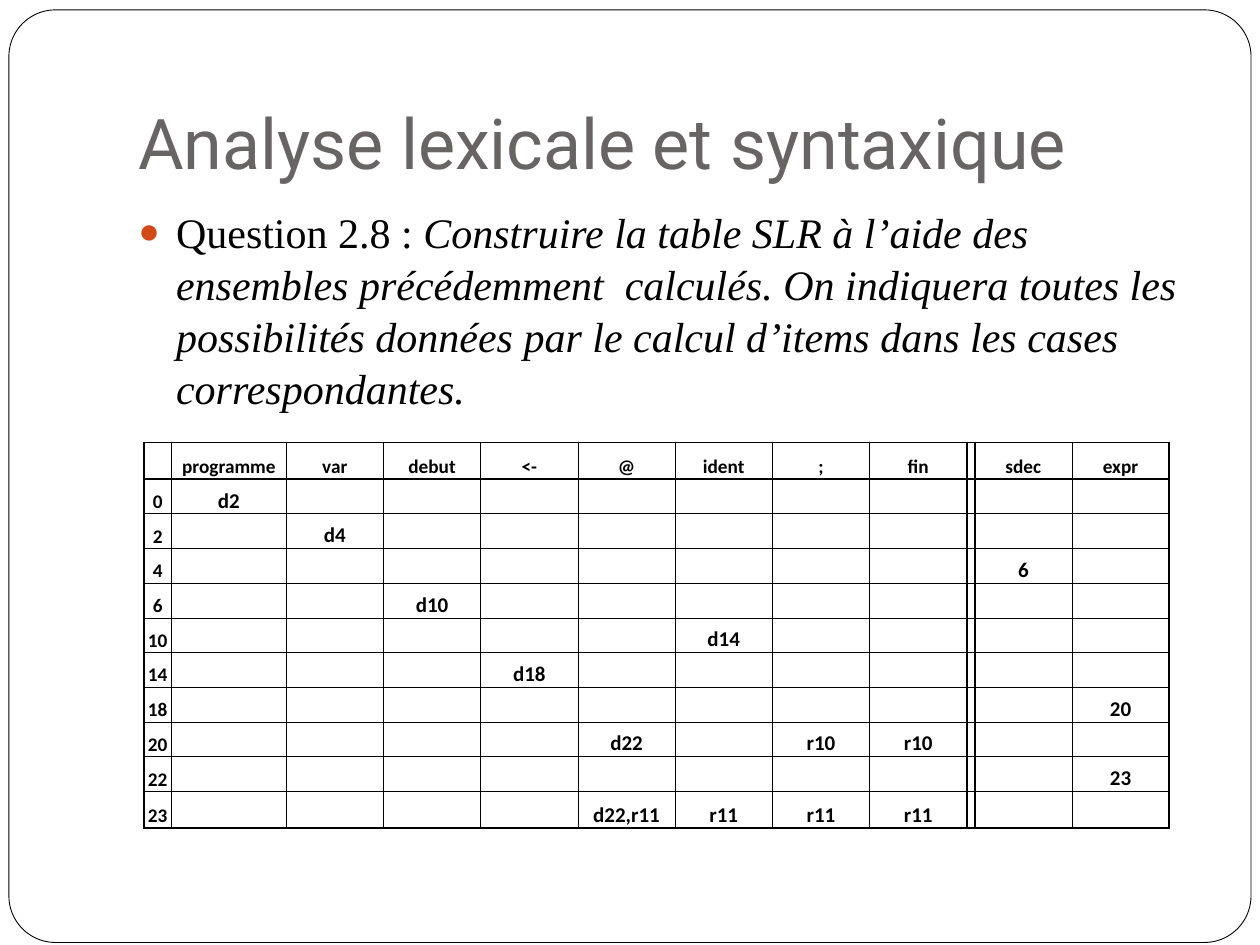
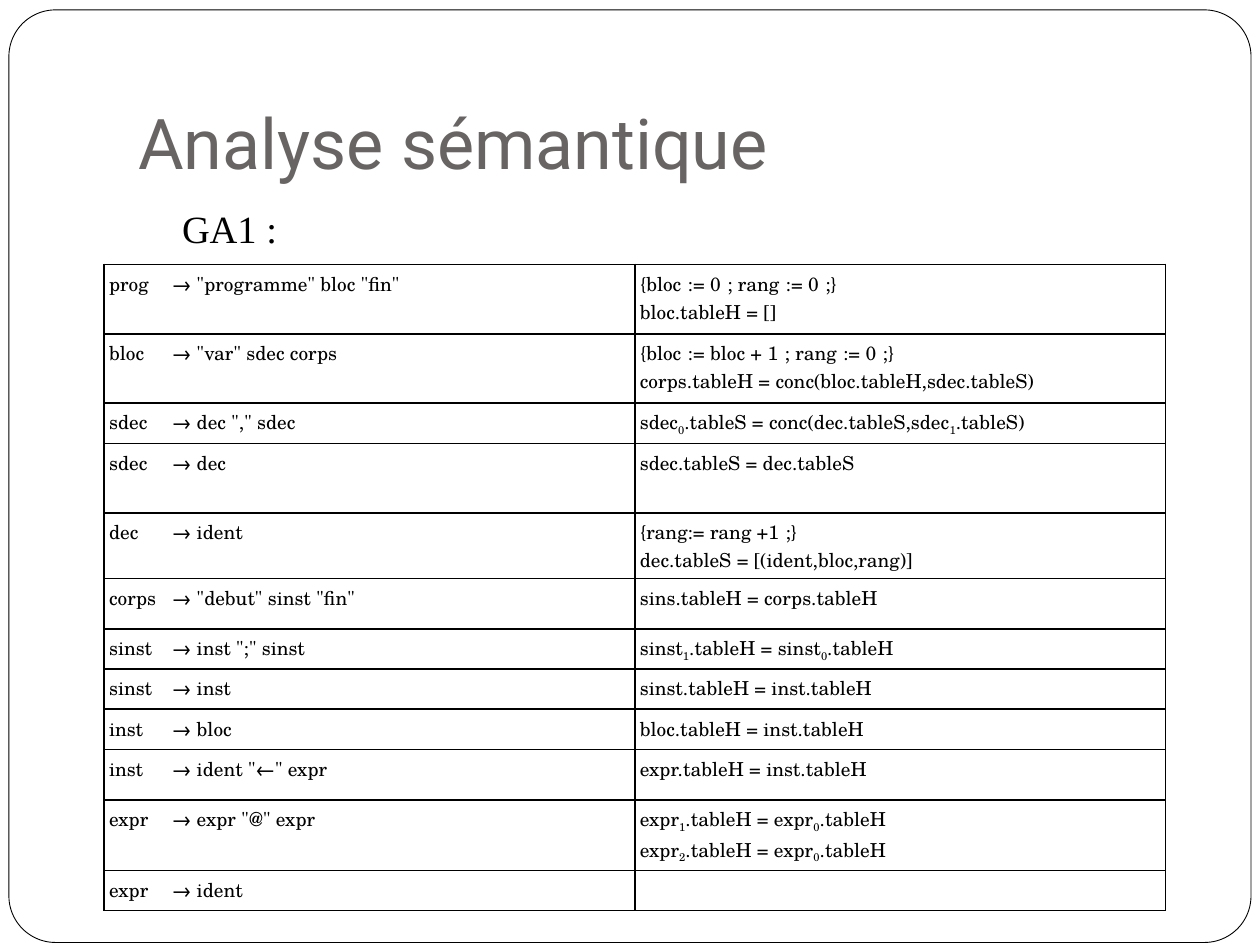
"""Build two slides on the SLR table and the attribute grammar of a small compiler."""
from lxml import etree
from pptx import Presentation
from pptx.dml.color import RGBColor
from pptx.enum.shapes import MSO_SHAPE
from pptx.enum.text import MSO_ANCHOR, PP_ALIGN
from pptx.oxml.ns import qn
from pptx.util import Cm, Pt

ROUNDED = MSO_SHAPE.ROUNDED_RECTANGLE
TOP, BOTTOM = MSO_ANCHOR.TOP, MSO_ANCHOR.BOTTOM
LEFT, CENTER = PP_ALIGN.LEFT, PP_ALIGN.CENTER

COLORS = {"paper": "FFFFFF", "ink": "000000", "title": "696464", "bullet": "D34817"}
TITLE_FONT, BODY_FONT = "Roboto", "Times New Roman"
SLR_FONT, GRAMMAR_FONT = "Calibri", "TeX Gyre Schola"

SLR_TITLE = "Analyse lexicale et syntaxique"
QUESTION = [
    ("Question 2.8 : ", False),
    ("Construire la table SLR à l’aide des ensembles précédemment  calculés. "
     "On indiquera toutes les possibilités données par le calcul d’items dans "
     "les cases correspondantes.", True),
]
SYMBOLS = ["", "programme", "var", "debut", "<-", "@", "ident", ";", "fin", "", "sdec", "expr"]
ACTIONS = [
    ("0", {"programme": "d2"}),
    ("2", {"var": "d4"}),
    ("4", {"sdec": "6"}),
    ("6", {"debut": "d10"}),
    ("10", {"ident": "d14"}),
    ("14", {"<-": "d18"}),
    ("18", {"expr": "20"}),
    ("20", {"@": "d22", ";": "r10", "fin": "r10"}),
    ("22", {"expr": "23"}),
    ("23", {"@": "d22,r11", "ident": "r11", ";": "r11", "fin": "r11"}),
]
SLR_WIDTHS = [0.56, 2.31] + [1.96] * 7 + [0.13] + [1.96] * 2
SLR_HEIGHTS = [0.74] + [0.7] * 9 + [0.74]
THICK_COLUMN_EDGES = {0, 1, 9, 10, 12}
THICK_ROW_EDGES = {0, 1, 11}

GRAMMAR_TITLE = "Analyse sémantique"
GRAMMAR_LABEL = [("GA1\u00a0:", False)]
GRAMMAR = [
    ("prog", '"programme" bloc "fin"',
     "{bloc\u00a0:= 0\u00a0; rang\u00a0:= 0\u00a0;}\nbloc.tableH = []", 1.4),
    ("bloc", '"var" sdec corps',
     "{bloc\u00a0:= bloc + 1\u00a0; rang\u00a0:= 0\u00a0;}\n"
     "corps.tableH = conc(bloc.tableH,sdec.tableS)", 1.4),
    ("sdec", 'dec "," sdec', "sdec_0.tableS = conc(dec.tableS,sdec_1.tableS)", 0.81),
    ("sdec", "dec", "sdec.tableS = dec.tableS", 1.4),
    ("dec", "ident", "{rang:= rang +1\u00a0;}\ndec.tableS = [(ident,bloc,rang)]", 1.32),
    ("corps", '"debut" sinst "fin"', "sins.tableH = corps.tableH", 1.02),
    ("sinst", 'inst ";" sinst', "sinst_1.tableH = sinst_0.tableH", 0.81),
    ("sinst", "inst", "sinst.tableH = inst.tableH", 0.81),
    ("inst", "bloc", "bloc.tableH = inst.tableH", 0.81),
    ("inst", 'ident "←" expr', "expr.tableH = inst.tableH", 1.02),
    ("expr", 'expr "@" expr',
     "expr_1.tableH = expr_0.tableH\nexpr_2.tableH = expr_0.tableH", 1.42),
    ("expr", "ident", "", 0.81),
]


def style_run(run, font, size, color="ink", bold=False, italic=False):
    run.font.name = font
    run.font.size = Pt(size)
    run.font.color.rgb = RGBColor.from_string(COLORS[color])
    run.font.bold = bold
    run.font.italic = italic


def add_text_box(slide, left, top, width, height, anchor):
    text_frame = slide.shapes.add_textbox(Cm(left), Cm(top), Cm(width), Cm(height)).text_frame
    text_frame.word_wrap = True
    text_frame.vertical_anchor = anchor
    return text_frame


def add_framed_slide(presentation, title):
    slide = presentation.slides.add_slide(presentation.slide_layouts[6])
    frame = slide.shapes.add_shape(ROUNDED, Cm(0.18), Cm(0.2), Cm(25.04), Cm(18.8))
    frame.adjustments[0] = 0.05
    frame.shadow.inherit = False
    frame.fill.solid()
    frame.fill.fore_color.rgb = RGBColor.from_string(COLORS["paper"])
    frame.line.color.rgb = RGBColor.from_string(COLORS["ink"])
    frame.line.width = Pt(0.5)
    text_frame = add_text_box(slide, 2.54, 0.76, 21.59, 3.18, BOTTOM)
    text_frame.margin_bottom = Cm(0.25)
    text_frame.text = title
    style_run(text_frame.paragraphs[0].runs[0], TITLE_FONT, 40, "title")
    return slide


def add_body(slide, pieces, size, margin, indent, space_before, height):
    paragraph = add_text_box(slide, 2.54, 4.01, 21.59, height, TOP).paragraphs[0]
    paragraph.space_before = Pt(space_before)
    for text, italic in pieces:
        run = paragraph.add_run()
        run.text = text
        style_run(run, BODY_FONT, size, italic=italic)
    properties = paragraph._p.get_or_add_pPr()
    properties.set("marL", str(Cm(margin)))
    properties.set("indent", str(Cm(indent)))
    return paragraph


def add_bullet(paragraph):
    properties = paragraph._p.get_or_add_pPr()
    color = etree.SubElement(properties, qn("a:buClr"))
    etree.SubElement(color, qn("a:srgbClr"), val=COLORS["bullet"])
    etree.SubElement(properties, qn("a:buSzPct"), val="85000")
    etree.SubElement(properties, qn("a:buFont"), typeface=BODY_FONT)
    etree.SubElement(properties, qn("a:buChar"), char="●")


def add_plain_table(slide, left, top, widths, heights):
    table = slide.shapes.add_table(len(heights), len(widths), Cm(left), Cm(top),
                                   Cm(sum(widths)), Cm(sum(heights))).table
    table.first_row = False
    table.horz_banding = False
    for column, width in zip(table.columns, widths):
        column.width = Cm(width)
    for row, height in zip(table.rows, heights):
        row.height = Cm(height)
    return table


def set_borders(cell, left, right, top, bottom):
    properties = cell._tc.get_or_add_tcPr()
    for side, width in zip("LRTB", (left, right, top, bottom)):
        line = etree.SubElement(properties, qn(f"a:ln{side}"), w=str(Pt(width)))
        fill = etree.SubElement(line, qn("a:solidFill"))
        etree.SubElement(fill, qn("a:srgbClr"), val=COLORS["ink"])
    cell.fill.background()


def fill_cell(cell, text, font, size, margins, anchor=TOP, align=LEFT, bold=False):
    cell.margin_left, cell.margin_top, cell.margin_right, cell.margin_bottom = map(Cm, margins)
    cell.vertical_anchor = anchor
    for index, line in enumerate(text.split("\n")):
        text_frame = cell.text_frame
        paragraph = text_frame.add_paragraph() if index else text_frame.paragraphs[0]
        paragraph.alignment = align
        if not line:
            etree.SubElement(paragraph._p, qn("a:endParaRPr"), sz=str(size * 100))
            continue
        first, *rest = line.split("_")
        pieces = [(first, False)]
        for part in rest:
            pieces += [(part[0], True), (part[1:], False)]
        for piece, subscript in pieces:
            run = paragraph.add_run()
            run.text = piece
            style_run(run, font, size, bold=bold)
            if subscript:
                run._r.get_or_add_rPr().set("baseline", "-25000")


def add_slr_table(slide):
    table = add_plain_table(slide, 2.9, 8.92, SLR_WIDTHS, SLR_HEIGHTS)
    rows = [SYMBOLS] + [[state] + [actions.get(symbol, "") for symbol in SYMBOLS[1:]]
                        for state, actions in ACTIONS]
    for y, row in enumerate(rows):
        for x, text in enumerate(row):
            cell = table.cell(y, x)
            vertical = [1 if edge in THICK_COLUMN_EDGES else 0.5 for edge in (x, x + 1)]
            horizontal = [1 if edge in THICK_ROW_EDGES else 0.5 for edge in (y, y + 1)]
            set_borders(cell, *vertical, *horizontal)
            size = 12 if x and y else 11
            fill_cell(cell, text, SLR_FONT, size, (0.03, 0.03, 0.03, 0), BOTTOM, CENTER, True)


def add_grammar_table(slide):
    heights = [height for *_, height in GRAMMAR]
    table = add_plain_table(slide, 2.1, 5.33, [10.7, 10.7], heights)
    for y, (symbol, production, rule, _) in enumerate(GRAMMAR):
        for x, text in enumerate((f"{symbol}\t→ {production}", rule)):
            cell = table.cell(y, x)
            set_borders(cell, 1, 1, 1, 1)
            fill_cell(cell, text, GRAMMAR_FONT, 11, (0.1, 0.1, 0.1, 0.1))


presentation = Presentation()
presentation.slide_width = Cm(25.4)
presentation.slide_height = Cm(19.05)

slr_slide = add_framed_slide(presentation, SLR_TITLE)
question = add_body(slr_slide, QUESTION, 24, 0.76, -0.76, 5.8, 13.11)
question.line_spacing = 1.03
add_bullet(question)
add_slr_table(slr_slide)

grammar_slide = add_framed_slide(presentation, GRAMMAR_TITLE)
add_body(grammar_slide, GRAMMAR_LABEL, 22, 1.52, -0.64, 3.7, 12.7)
add_grammar_table(grammar_slide)

presentation.save("out.pptx")
